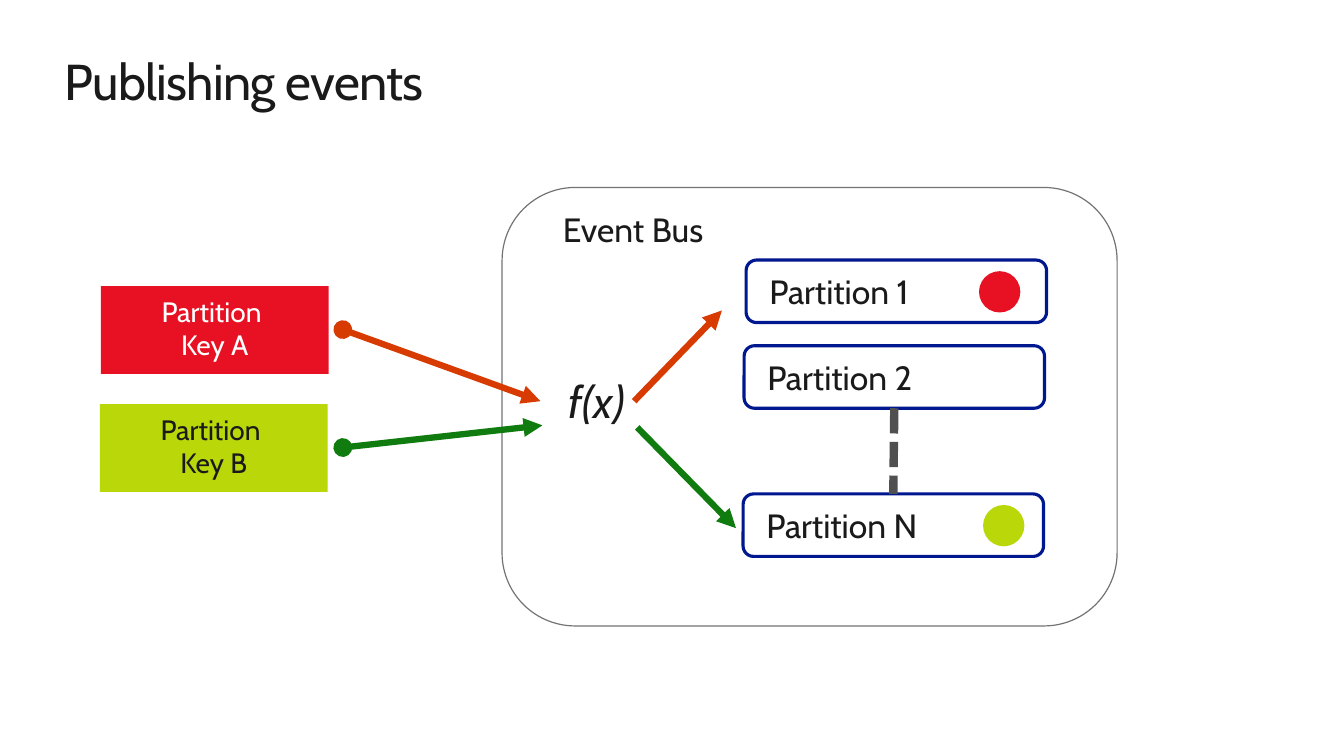
"""Build the slide that shows how events reach the partitions of an event bus."""
from pptx import Presentation
from pptx import util as u
from pptx.dml.color import RGBColor
from pptx.enum import dml, shapes, text
from pptx.oxml.ns import qn

FONT = "Cabin"
INK = RGBColor(0x1A, 0x1A, 0x1A)
WHITE = RGBColor(0xFF, 0xFF, 0xFF)
RED = RGBColor(0xE8, 0x11, 0x23)
LIME = RGBColor(0xBA, 0xD7, 0x09)
ORANGE = RGBColor(0xD7, 0x3B, 0x02)
GREEN = RGBColor(0x10, 0x7C, 0x0F)
NAVY = RGBColor(0x00, 0x18, 0x8F)
GRAY = RGBColor(0x73, 0x73, 0x73)
DARK_GRAY = RGBColor(0x50, 0x50, 0x50)

TITLE = "Publishing events"
BUS = "Event Bus"
FUNCTION = "f(x)"
KEYS = [
    (["Partition ", "Key A"], 1, 2.84, RED, WHITE),
    (["Partition ", "Key B"], 0.99, 4.01, LIME, INK),
]
PARTITIONS = [
    ("Partition 1", 7.4, 2.58),
    ("Partition 2", 7.38, 3.43),
    ("Partition N", 7.37, 4.9),
]
EVENTS = [(9.71, 2.69, RED), (9.75, 5.01, LIME)]
ARROWS = [
    ((6.29, 3.98), (7.16, 3.08), ORANGE, None),
    ((6.32, 4.24), (7.3, 5.24), GREEN, None),
    ((3.4, 3.27), (5.36, 3.98), ORANGE, "oval"),
    ((3.4, 4.44), (5.38, 4.22), GREEN, "oval"),
]
KEY_SIZE = (2.26, 0.87)
PARTITION_SIZE = (2.98, 0.62)
EVENT_SIZE = (0.41, 0.41)
BOX_INSETS = (0.2, 0.08, 0.2, 0.08)
NO_INSETS = (0, 0, 0, 0)


def write(shape, lines, size, color=INK, align=text.PP_ALIGN.LEFT,
          anchor=text.MSO_ANCHOR.TOP, insets=BOX_INSETS, italic=False,
          spacing=0, wrap=True):
    """Fill a shape with one formatted paragraph per line."""
    frame = shape.text_frame
    frame.word_wrap = wrap
    frame.auto_size = text.MSO_AUTO_SIZE.NONE
    frame.vertical_anchor = anchor
    (frame.margin_left, frame.margin_top,
     frame.margin_right, frame.margin_bottom) = map(u.Inches, insets)
    for index, line in enumerate(lines):
        paragraph = frame.add_paragraph() if index else frame.paragraphs[0]
        paragraph.alignment = align
        paragraph.line_spacing = 1.0
        paragraph.space_before = u.Pt(0)
        run = paragraph.add_run()
        run.text = line
        run.font.name = FONT
        run.font.size = u.Pt(size)
        run.font.italic = italic
        run.font.color.rgb = color
    if spacing:
        for properties in shape.element.iter(qn("a:rPr")):
            properties.set("spc", str(round(spacing * 100)))


def add_box(slide, kind, position, size, fill, line=None, width=1):
    """Add a flat preset shape."""
    shape = slide.shapes.add_shape(kind, *map(u.Inches, (*position, *size)))
    shape.shadow.inherit = False
    shape.fill.solid()
    shape.fill.fore_color.rgb = fill
    if line is None:
        shape.line.fill.background()
    else:
        shape.line.color.rgb = line
        shape.line.width = u.Pt(width)
    return shape


def add_line(slide, start, end, color, width, dash=None, head=None, tail=None):
    """Add a straight connector with optional dash and line ends."""
    connector = slide.shapes.add_connector(
        shapes.MSO_CONNECTOR.STRAIGHT, *map(u.Inches, (*start, *end)))
    connector.line.color.rgb = color
    connector.line.width = u.Pt(width)
    if dash is not None:
        connector.line.dash_style = dash
    properties = connector.element.spPr
    outline = properties.find(qn("a:ln"))
    for tag, ending in (("a:headEnd", head), ("a:tailEnd", tail)):
        if ending:
            outline.append(outline.makeelement(qn(tag), {"type": ending}))
    properties.append(properties.makeelement(qn("a:effectLst"), {}))
    return connector


def main():
    """Compose the slide and save it."""
    presentation = Presentation()
    presentation.slide_width = u.Inches(13.33)
    presentation.slide_height = u.Inches(7.5)
    slide = presentation.slides.add_slide(presentation.slide_layouts[5])
    kinds = shapes.MSO_SHAPE
    center = text.PP_ALIGN.CENTER

    title = slide.shapes.title
    title.left, title.top, title.width, title.height = map(
        u.Inches, (0.64, 0.5, 12.05, 0.61))
    write(title, [TITLE], 36, insets=NO_INSETS, spacing=-0.5)

    for lines, left, top, fill, color in KEYS:
        key = add_box(slide, kinds.RECTANGLE, (left, top), KEY_SIZE, fill)
        write(key, lines, 20, color, align=center)

    bus = add_box(slide, kinds.ROUNDED_RECTANGLE, (4.98, 1.86), (6.1, 4.35),
                  WHITE, GRAY, 0.85)
    write(bus, [BUS], 24, insets=(0.39, 0, 0.2, 0.04))

    function = slide.shapes.add_textbox(*map(u.Inches, (5.56, 3.71, 0.72, 0.54)))
    write(function, [FUNCTION], 32, align=center, insets=NO_INSETS,
          italic=True, wrap=False)

    partitions = []
    for name, left, top in PARTITIONS:
        partition = add_box(slide, kinds.ROUNDED_RECTANGLE, (left, top),
                            PARTITION_SIZE, WHITE, NAVY, 2.25)
        write(partition, [name], 24, anchor=text.MSO_ANCHOR.MIDDLE)
        partitions.append(partition)

    gap = add_line(slide, (8.87, 4.05), (8.86, 4.9), DARK_GRAY, 6,
                   dash=dml.MSO_LINE.SQUARE_DOT)
    gap.begin_connect(partitions[1], 2)
    gap.end_connect(partitions[2], 0)

    for left, top, fill in EVENTS:
        add_box(slide, kinds.OVAL, (left, top), EVENT_SIZE, fill)
    for start, end, color, head in ARROWS:
        add_line(slide, start, end, color, 4.5, head=head, tail="triangle")

    presentation.save("out.pptx")


if __name__ == "__main__":
    main()
